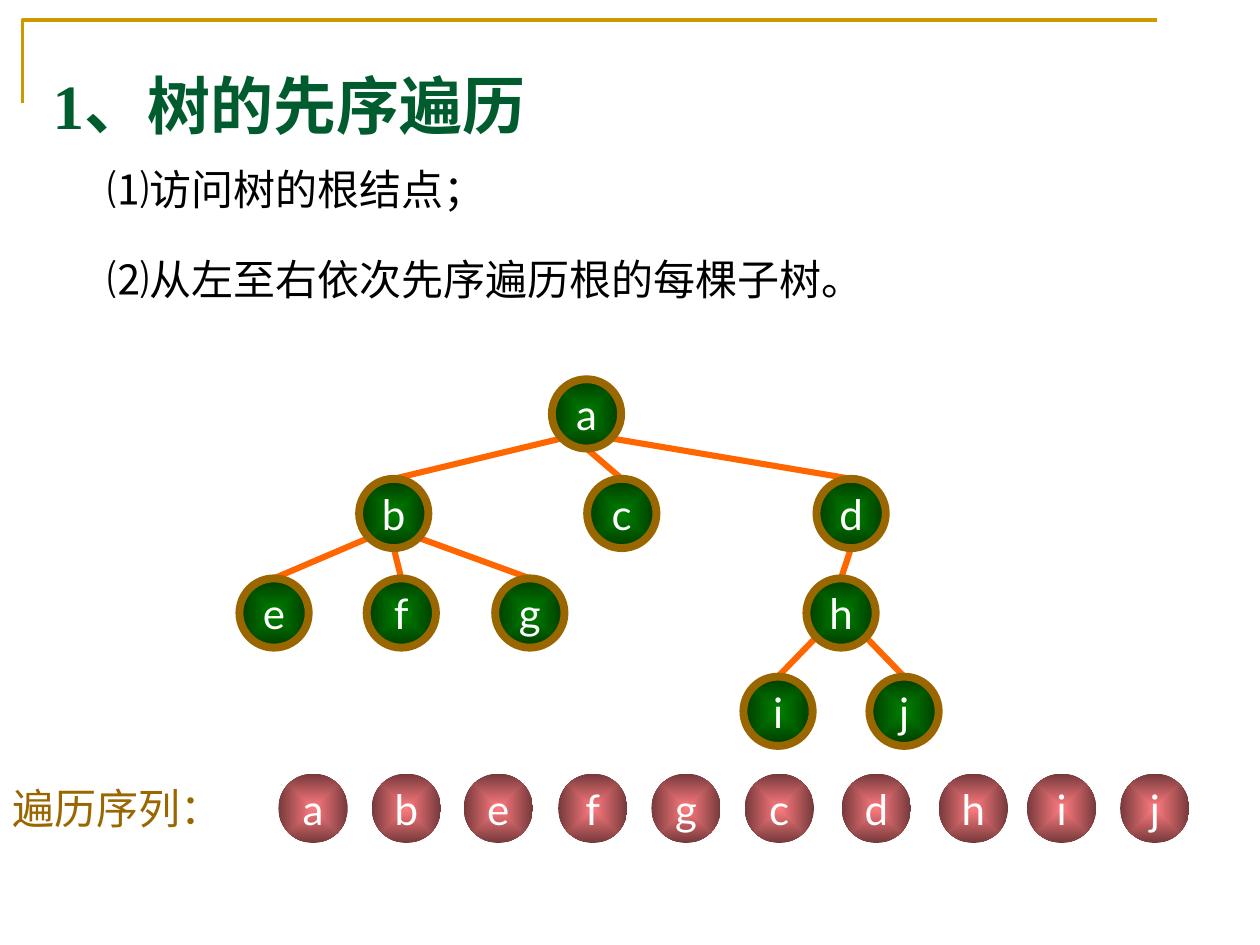
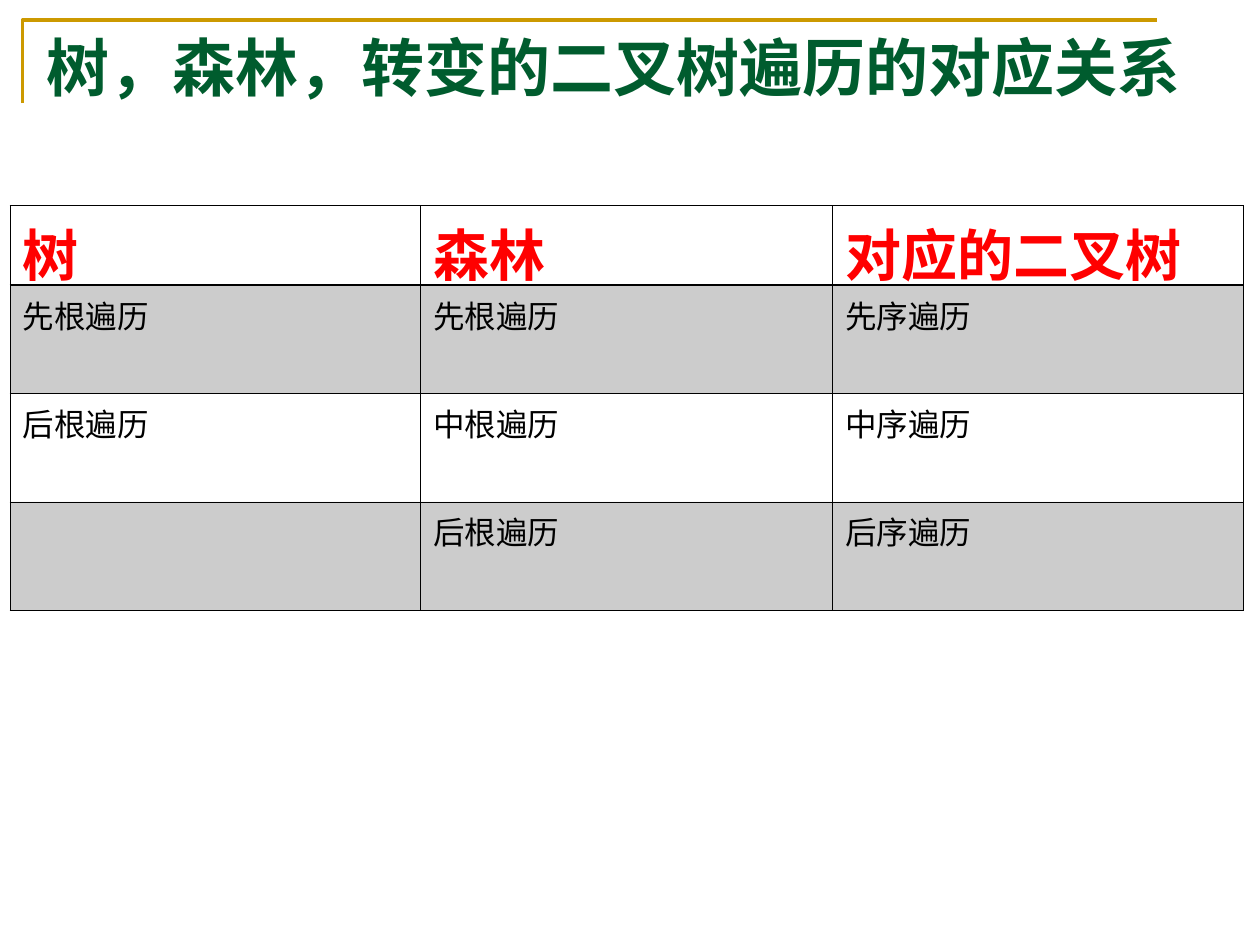
"""Builds two slides on tree traversal: a preorder example and a comparison table."""
from lxml import etree
from pptx import Presentation
from pptx.dml.color import RGBColor
from pptx.enum.shapes import MSO_CONNECTOR, MSO_SHAPE
from pptx.enum.text import MSO_ANCHOR, PP_ALIGN
from pptx.oxml import parse_xml
from pptx.oxml.ns import nsdecls, qn
from pptx.util import Inches, Pt

STRAIGHT = MSO_CONNECTOR.STRAIGHT
OVAL = MSO_SHAPE.OVAL
MIDDLE, BOTTOM = MSO_ANCHOR.MIDDLE, MSO_ANCHOR.BOTTOM
CENTER = PP_ALIGN.CENTER

BLACK = RGBColor(0x00, 0x00, 0x00)
WHITE = RGBColor(0xFF, 0xFF, 0xFF)
RED = RGBColor(0xFF, 0x00, 0x00)
TITLE_GREEN = RGBColor(0x00, 0x5C, 0x2E)
GOLD = RGBColor(0xCC, 0x99, 0x00)
BROWN = RGBColor(0x99, 0x66, 0x00)
ORANGE = RGBColor(0xFF, 0x66, 0x00)
TREE_COLORS = RGBColor(0x00, 0x80, 0x00), RGBColor(0x00, 0x3B, 0x00)
SEQUENCE_COLORS = RGBColor(0xFF, 0x7C, 0x80), RGBColor(0x76, 0x39, 0x3B)

SERIF, SANS, TABLE_FONT = "Times New Roman", "Lato", "Arial"
DIAMETER = 0.55


def write(frame, text, size, font, color, bold=False):
    frame.text = text
    for paragraph in frame.paragraphs:
        for run in paragraph.runs:
            run.font.size = Pt(size)
            run.font.name = font
            run.font.color.rgb = color
            run.font.bold = bold


def add_ball(slide, letter, left, top, colors):
    ball = slide.shapes.add_shape(OVAL, Inches(left), Inches(top), Inches(DIAMETER), Inches(DIAMETER))
    ball.shadow.inherit = False
    ball.line.fill.background()
    ball.fill.gradient()
    for stop, color, position in zip(ball.fill.gradient_stops, colors, (0, 1)):
        stop.color.rgb = color
        stop.position = position
    gradient = ball._element.spPr.find(qn("a:gradFill"))
    gradient.remove(gradient.find(qn("a:lin")))
    gradient.append(parse_xml(
        f'<a:path {nsdecls("a")} path="rect">'
        '<a:fillToRect l="50000" t="50000" r="50000" b="50000"/></a:path>'))
    write(ball.text_frame, letter, 24, SANS, WHITE)
    ball.text_frame.word_wrap = False
    ball.text_frame.vertical_anchor = MIDDLE
    ball.text_frame.paragraphs[0].alignment = CENTER


presentation = Presentation()
presentation.slide_width = Inches(10)
presentation.slide_height = Inches(7.5)

titles = [
    ("1、树的先序遍历", 0.32, 0.31, 8.27, 0.82, BOTTOM),
    ("树，森林，转变的二叉树遍历的对应关系", 0.27, 0.21, 9.73, 0.64, MIDDLE),
]
slides = []
for title_text, left, top, width, height, anchor in titles:
    slide = presentation.slides.add_slide(presentation.slide_layouts[6])
    slides.append(slide)

    outline = slide.shapes.build_freeform(Inches(0.18), Inches(0.82))
    outline.add_line_segments(
        [(Inches(0.18), Inches(0.16)), (Inches(9.18), Inches(0.16))], close=False)
    corner = outline.convert_to_shape()
    corner.shadow.inherit = False
    corner.fill.background()
    corner.line.color.rgb = GOLD
    corner.line.width = Pt(2)

    title = slide.shapes.add_textbox(Inches(left), Inches(top), Inches(width), Inches(height)).text_frame
    title.word_wrap = True
    title.vertical_anchor = anchor
    title.margin_top = title.margin_bottom = 0
    write(title, title_text, 36, SERIF, TITLE_GREEN, bold=True)

traversal_slide, comparison_slide = slides

steps = traversal_slide.shapes.add_textbox(
    Inches(0.42), Inches(1.29), Inches(9.05), Inches(1.48)).text_frame
steps.word_wrap = True
steps.margin_left = Inches(0.43)
write(steps, "⑴访问树的根结点；\n⑵从左至右依次先序遍历根的每棵子树。", 24, SERIF, BLACK)
for step in steps.paragraphs:
    step.line_spacing = 0.9
steps.paragraphs[1].space_before = Pt(25.5)

levels = [3.01, 3.8, 4.59, 5.37]
nodes = {
    "a": (4.38, levels[0]),
    "b": (2.85, levels[1]), "c": (4.66, levels[1]), "d": (6.48, levels[1]),
    "e": (1.9, levels[2]), "f": (2.91, levels[2]), "g": (3.93, levels[2]), "h": (6.4, levels[2]),
    "i": (5.9, levels[3]), "j": (6.9, levels[3]),
}
children = {"a": "bcd", "b": "efg", "d": "h", "h": "ij"}

for letter, (left, top) in nodes.items():
    add_ball(traversal_slide, letter, left, top, TREE_COLORS)

radius = DIAMETER / 2
for parent, offspring in children.items():
    parent_left, parent_top = nodes[parent]
    for child in offspring:
        child_left, child_top = nodes[child]
        shift = child_left - parent_left
        start_x, start_y = parent_left + radius, parent_top + DIAMETER
        if abs(shift) > 0.3:
            start_x += 0.2 if shift > 0 else -0.2
            start_y -= 0.08
        edge = traversal_slide.shapes.add_connector(
            STRAIGHT, Inches(start_x), Inches(start_y), Inches(child_left + radius), Inches(child_top))
        edge.line.color.rgb = ORANGE
        edge.line.width = Pt(3.5)
        etree.SubElement(edge._element.spPr, qn("a:effectLst"))

for left, top in nodes.values():
    ring = traversal_slide.shapes.add_shape(
        OVAL, Inches(left), Inches(top), Inches(DIAMETER), Inches(DIAMETER))
    ring.shadow.inherit = False
    ring.fill.background()
    ring.line.color.rgb = BROWN
    ring.line.width = Pt(4.5)

sequence_lefts = [2.21, 2.95, 3.68, 4.43, 5.17, 5.91, 6.68, 7.45, 8.15, 8.89]
for letter, left in zip("abefgcdhij", sequence_lefts):
    add_ball(traversal_slide, letter, left, 6.14, SEQUENCE_COLORS)

sequence_label = traversal_slide.shapes.add_textbox(
    Inches(0), Inches(6.16), Inches(2.26), Inches(0.5)).text_frame
sequence_label.word_wrap = True
write(sequence_label, "遍历序列：", 24, SANS, BROWN)

correspondence = [
    ["树", "森林", "对应的二叉树"],
    ["先根遍历", "先根遍历", "先序遍历"],
    ["后根遍历", "中根遍历", "中序遍历"],
    ["", "后根遍历", "后序遍历"],
]
row_heights = [0.63, 0.86, 0.86, 0.86]
table = comparison_slide.shapes.add_table(
    4, 3, Inches(0.08), Inches(1.63), Inches(9.79), Inches(sum(row_heights))).table
table.first_row = False
table.horz_banding = False
for column, width in zip(table.columns, (3.26, 3.27, 3.26)):
    column.width = Inches(width)

for row_index, (row_texts, height) in enumerate(zip(correspondence, row_heights)):
    table.rows[row_index].height = Inches(height)
    is_header = row_index == 0
    for column_index, text in enumerate(row_texts):
        cell = table.cell(row_index, column_index)
        if is_header:
            write(cell.text_frame, text, 32, TABLE_FONT, RED, bold=True)
        else:
            write(cell.text_frame, text, 18, TABLE_FONT, BLACK)
        properties = cell._tc.get_or_add_tcPr()
        for side in "LRTB":
            below_header = (row_index, side) in ((0, "B"), (1, "T"))
            border = Pt(0.96 if below_header else 0.45)
            properties.append(parse_xml(
                f'<a:ln{side} {nsdecls("a")} w="{border}"><a:solidFill>'
                f'<a:srgbClr val="{BLACK}"/></a:solidFill></a:ln{side}>'))
        if row_index % 2:
            cell.fill.solid()
            cell.fill.fore_color.rgb = BLACK
            shade = properties.find(qn("a:solidFill")).find(qn("a:srgbClr"))
            etree.SubElement(shade, qn("a:alpha"), val="20000")
        else:
            cell.fill.background()

presentation.save("out.pptx")
